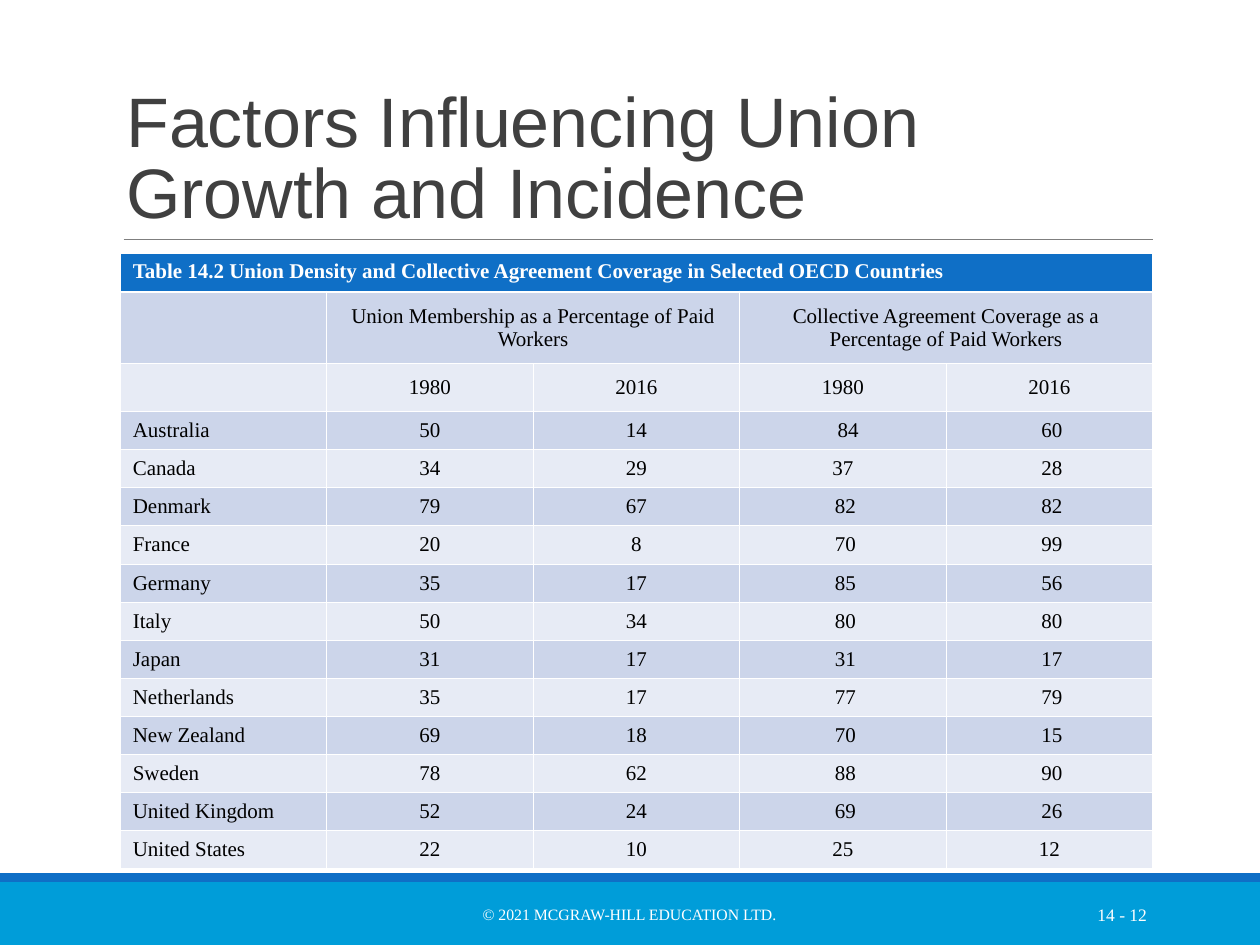
from lxml import etree
from pptx import Presentation
from pptx.dml.color import RGBColor
from pptx.enum import shapes, text
from pptx.oxml.ns import qn
from pptx.util import Pt

WHITE = RGBColor(0xFF, 0xFF, 0xFF)
BLACK = RGBColor(0x00, 0x00, 0x00)
CHARCOAL = RGBColor(0x40, 0x40, 0x40)
GREY = RGBColor(0x7F, 0x7F, 0x7F)
BLUE = RGBColor(0x0F, 0x6F, 0xC6)
CYAN = RGBColor(0x00, 0x9D, 0xD9)
DARK_BAND = RGBColor(0xCC, 0xD5, 0xEA)
LIGHT_BAND = RGBColor(0xE7, 0xEB, 0xF5)
SERIF = "Times New Roman"
CENTER = text.PP_ALIGN.CENTER

CAPTION = "Table 14.2 Union Density and Collective Agreement Coverage in Selected OECD Countries"
GROUPS = ["", "Union Membership as a Percentage of Paid Workers", "",
          "Collective Agreement Coverage as a Percentage of Paid Workers", ""]
YEARS = ["", "1980", "2016", "1980", "2016"]
COUNTRIES = [
    ("Australia", 50, 14, 84, 60),
    ("Canada", 34, 29, 37, 28),
    ("Denmark", 79, 67, 82, 82),
    ("France", 20, 8, 70, 99),
    ("Germany", 35, 17, 85, 56),
    ("Italy", 50, 34, 80, 80),
    ("Japan", 31, 17, 31, 17),
    ("Netherlands", 35, 17, 77, 79),
    ("New Zealand", 69, 18, 70, 15),
    ("Sweden", 78, 62, 88, 90),
    ("United Kingdom", 52, 24, 69, 26),
    ("United States", 22, 10, 25, 12),
]
COVERAGE_INDENTS = {"Australia": (6, 3), "Canada": (0, 3), "United States": (0, 0)}


def style_text(para, font, size, color, align=None, bold=False):
    """Format a paragraph and its runs."""
    para.alignment = align
    for span in para.runs:
        span.font.name = font
        span.font.size = Pt(size)
        span.font.bold = bold
        span.font.color.rgb = color


def add_bar(page, left, top, width, height, color):
    """Add a plain filled rectangle."""
    bar = page.shapes.add_shape(shapes.MSO_SHAPE.RECTANGLE,
                                Pt(left), Pt(top), Pt(width), Pt(height))
    bar.shadow.inherit = False
    bar.fill.solid()
    bar.fill.fore_color.rgb = color
    bar.line.fill.background()


def add_footer_text(page, left, top, width, height, words, size, align):
    """Add one line of white footer text."""
    box = page.shapes.add_textbox(Pt(left), Pt(top), Pt(width), Pt(height))
    frame = box.text_frame
    frame.word_wrap = True
    frame.vertical_anchor = text.MSO_ANCHOR.MIDDLE
    frame.text = words
    style_text(frame.paragraphs[0], SERIF, size, WHITE, align)


def add_footer(page, left, top, width, height):
    """Add the two-tone footer with the copyright line and page number."""
    stripe = 5
    add_bar(page, left, top + stripe, width, height - stripe, CYAN)
    add_bar(page, left, top, width, stripe, BLUE)
    add_footer_text(page, left + 217.4, top + 9.3, 284.4, 28.8,
                    "© 2021 MCGRAW-HILL EDUCATION LTD.", 9, CENTER)
    add_footer_text(page, left + 584.6, top + 9.3, 77.8, 28.8,
                    "14 - 12", 10, text.PP_ALIGN.RIGHT)


def add_heading(page, left, top, width, height):
    """Place the title and the rule beneath it."""
    title = page.shapes.title
    title.left, title.top, title.width, title.height = map(Pt, (left, top, width, height))
    frame = title.text_frame
    frame.word_wrap = True
    frame.auto_size = text.MSO_AUTO_SIZE.NONE
    frame.vertical_anchor = text.MSO_ANCHOR.BOTTOM
    frame.text = "Factors Influencing Union Growth and Incidence"
    para = frame.paragraphs[0]
    para.line_spacing = 0.85
    style_text(para, "Arial", 40, CHARCOAL, text.PP_ALIGN.LEFT)
    bottom = Pt(top + height)
    rule = page.shapes.add_connector(shapes.MSO_CONNECTOR.STRAIGHT,
                                     Pt(left + 5.7), bottom, Pt(left + width), bottom)
    rule.line.color.rgb = GREY
    rule.line.width = Pt(0.5)
    etree.SubElement(rule._element.spPr, qn("a:effectLst"))


def add_borders(cell, top_width, bottom_width):
    """Give a cell white borders."""
    properties = cell._tc.get_or_add_tcPr()
    widths = {"lnL": 0.45, "lnR": 0.45, "lnT": top_width, "lnB": bottom_width}
    for side, width in widths.items():
        line = etree.SubElement(properties, qn(f"a:{side}"), w=str(Pt(width)))
        fill = etree.SubElement(line, qn("a:solidFill"))
        etree.SubElement(fill, qn("a:srgbClr"), val=str(WHITE))


def format_cell(cell, row, column, words):
    """Fill, border and write one table cell."""
    caption = row == 0
    add_borders(cell, 1.47 if row == 1 else 0.45, 1.47 if caption else 0.45)
    cell.fill.solid()
    cell.fill.fore_color.rgb = BLUE if caption else DARK_BAND if row % 2 else LIGHT_BAND
    if not words:
        cell.margin_top = cell.margin_bottom = 0
        return
    cell.text = words
    cell.vertical_anchor = text.MSO_ANCHOR.TOP if caption else text.MSO_ANCHOR.MIDDLE
    style_text(cell.text_frame.paragraphs[0], SERIF, 12, WHITE if caption else BLACK,
               CENTER if column else text.PP_ALIGN.LEFT, caption)


def add_union_table(page, left, top, width, height):
    """Add the table of union density and agreement coverage."""
    rows = [[CAPTION, "", "", "", ""], GROUPS, YEARS]
    rows += [[str(value) for value in country] for country in COUNTRIES]
    frame = page.shapes.add_table(len(rows), 5, Pt(left), Pt(top), Pt(width), Pt(height))
    table = frame.table
    table.horz_banding = False
    for column in table.columns:
        column.width = Pt(width / 5)
    heads = [21.9, 41, 27.4]
    body_height = (height - sum(heads)) / len(COUNTRIES)
    for row, row_height in zip(table.rows, heads + [body_height] * len(COUNTRIES)):
        row.height = Pt(row_height)
    for row, values in enumerate(rows):
        for column, words in enumerate(values):
            format_cell(table.cell(row, column), row, column, words)
    for row, country in enumerate(COUNTRIES, len(heads)):
        for column, indent in enumerate(COVERAGE_INDENTS.get(country[0], (3, 3)), 3):
            table.cell(row, column).margin_left = Pt(7.2 + indent)
    for row, first, last in ((0, 0, 4), (1, 1, 2), (1, 3, 4)):
        table.cell(row, first).merge(table.cell(row, last))


def main():
    """Build and save the slide."""
    deck = Presentation()
    deck.slide_width, deck.slide_height = Pt(720), Pt(540)
    page = deck.slides.add_slide(deck.slide_layouts[5])
    add_footer(page, 0, 499, 720, 41)
    add_heading(page, 65, 22.3, 594, 114.5)
    add_union_table(page, 68.7, 144.9, 590, 351.7)
    deck.save("out.pptx")


if __name__ == "__main__":
    main()
